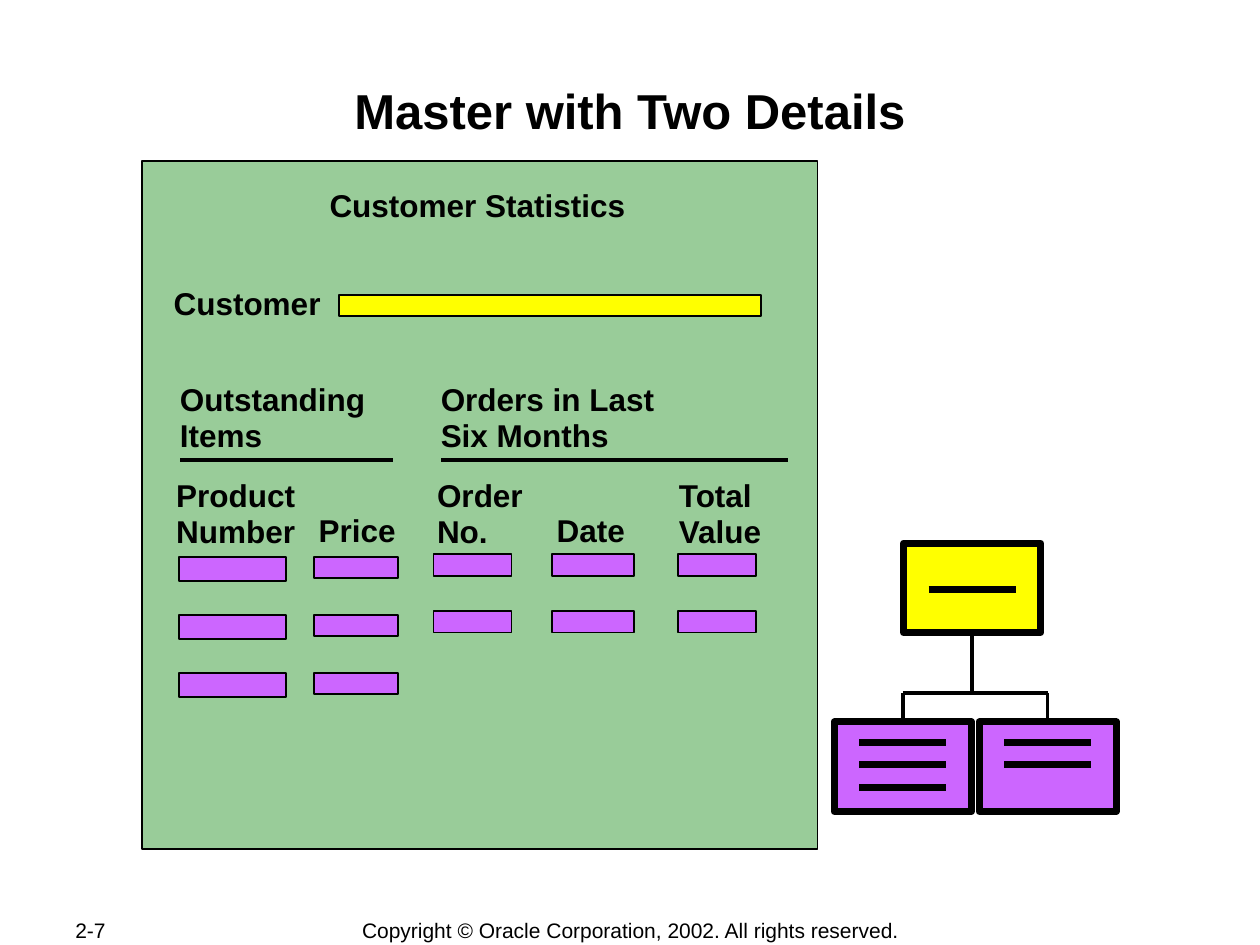
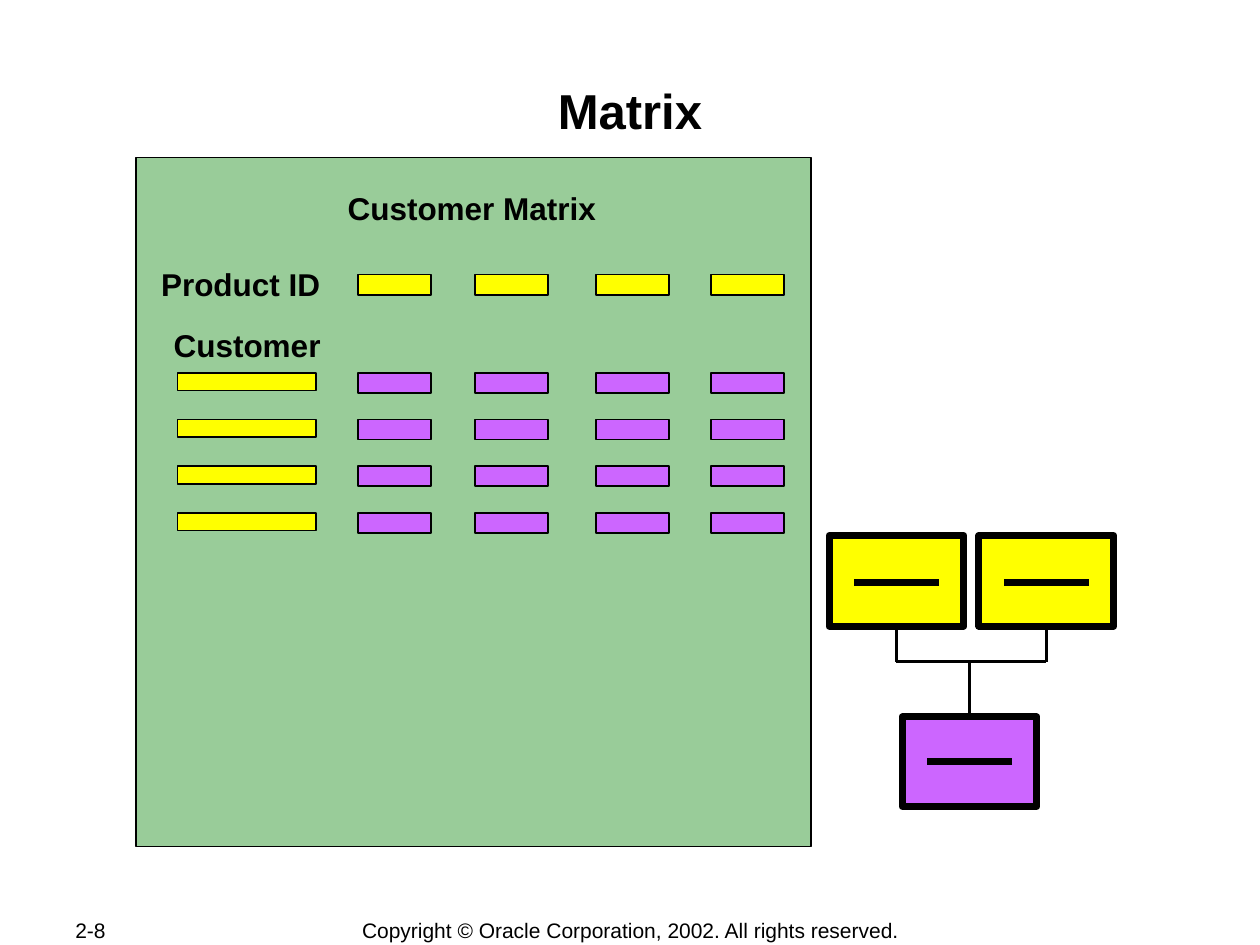
from dataclasses import dataclass

import pptx
import pptx.dml.color
import pptx.enum.shapes
import pptx.enum.text
import pptx.oxml
import pptx.oxml.ns
import pptx.util
from pptx.util import Inches

COLOURS = {
    "ink": "000000",
    "panel": "99CC99",
    "master": "FFFF00",
    "detail": "CC66FF",
}
FONT = "Arial"
TITLE_ONLY = 5
COPYRIGHT = "Copyright © Oracle Corporation, 2002. All rights reserved."
ALIGN = pptx.enum.text.PP_ALIGN
ANCHOR = pptx.enum.text.MSO_ANCHOR
BOTTOM_SITE, TOP_SITE = 2, 0


@dataclass(frozen=True)
class Label:
    text: str
    left: float
    top: float
    width: float
    height: float = 0.39
    align: ALIGN = ALIGN.LEFT
    size: int = 18
    bold: bool = True
    spacing: float = 0.95
    wrap: bool = False
    anchor: ANCHOR = ANCHOR.TOP


@dataclass(frozen=True)
class FieldColumn:
    """Equal fields stacked downwards, one pitch apart."""
    left: float
    top: float
    width: float
    height: float
    rows: int = 1
    pitch: float = 0.0
    colour: str = "detail"


@dataclass(frozen=True)
class Block:
    """A box of the block diagram, with a stroke for each record."""
    left: float
    top: float
    width: float
    height: float
    colour: str
    strokes: tuple[float, ...]

    @property
    def centre(self) -> float:
        return self.left + self.width / 2


def rgb(name: str) -> pptx.dml.color.RGBColor:
    return pptx.dml.color.RGBColor.from_string(COLOURS[name])


def style_font(paragraph, size: int, bold: bool) -> None:
    font = paragraph.font
    font.name, font.size, font.bold = FONT, pptx.util.Pt(size), bold
    font.color.rgb = rgb("ink")


def add_label(page, label: Label) -> None:
    box = page.shapes.add_textbox(Inches(label.left), Inches(label.top),
                                  Inches(label.width), Inches(label.height))
    frame = box.text_frame
    frame.word_wrap = label.wrap
    frame.vertical_anchor = label.anchor
    frame.text = label.text
    for paragraph in frame.paragraphs:
        paragraph.alignment = label.align
        paragraph.line_spacing = label.spacing
        style_font(paragraph, label.size, label.bold)


def add_rect(page, left: float, top: float, width: float, height: float,
             colour: str, weight: float = 1):
    rect = page.shapes.add_shape(
        pptx.enum.shapes.MSO_SHAPE.RECTANGLE,
        Inches(left), Inches(top), Inches(width), Inches(height))
    rect.shadow.inherit = False
    rect.fill.solid()
    rect.fill.fore_color.rgb = rgb(colour)
    rect.line.color.rgb = rgb("ink")
    rect.line.width = pptx.util.Pt(weight)
    return rect


def add_line(page, x1: float, y1: float, x2: float, y2: float, weight: float = 2):
    line = page.shapes.add_connector(
        pptx.enum.shapes.MSO_CONNECTOR.STRAIGHT,
        Inches(x1), Inches(y1), Inches(x2), Inches(y2))
    line.line.color.rgb = rgb("ink")
    line.line.width = pptx.util.Pt(weight)
    properties = line._element.find(pptx.oxml.ns.qn("p:spPr"))
    properties.append(pptx.oxml.parse_xml(
        f'<a:effectLst {pptx.oxml.ns.nsdecls("a")}/>'))
    return line


def add_fields(page, columns: list[FieldColumn]) -> None:
    for column in columns:
        for row in range(column.rows):
            add_rect(page, column.left, column.top + row * column.pitch,
                     column.width, column.height, column.colour)


def add_block(page, block: Block):
    rect = add_rect(page, block.left, block.top, block.width, block.height,
                    block.colour, weight=4)
    for y in block.strokes:
        add_line(page, block.left + 0.2, y, block.left + block.width - 0.2, y, weight=4)
    return rect


def add_block_diagram(page, masters: list[Block], details: list[Block],
                      bar_y: float) -> None:
    """Draw masters above details, joined through a horizontal bar."""
    for block in masters:
        rect = add_block(page, block)
        stem = add_line(page, block.centre, block.top + block.height,
                        block.centre, bar_y)
        stem.begin_connect(rect, BOTTOM_SITE)
    for block in details:
        rect = add_block(page, block)
        stem = add_line(page, block.centre, bar_y, block.centre, block.top)
        stem.end_connect(rect, TOP_SITE)
    centres = [block.centre for block in masters + details]
    add_line(page, min(centres), bar_y, max(centres), bar_y)


def add_page(deck, title: str, number: str):
    """Add a slide with its title, page number and copyright line."""
    page = deck.slides.add_slide(deck.slide_layouts[TITLE_ONLY])
    heading = page.shapes.title
    heading.left, heading.top = Inches(1), Inches(0.58)
    heading.width, heading.height = Inches(8), Inches(0.96)
    frame = heading.text_frame
    frame.text = title
    frame.word_wrap = True
    frame.auto_size = pptx.enum.text.MSO_AUTO_SIZE.NONE
    frame.vertical_anchor = ANCHOR.TOP
    frame.margin_left = frame.margin_right = frame.margin_bottom = Inches(0.01)
    frame.margin_top = Inches(0.06)
    frame.paragraphs[0].alignment = ALIGN.CENTER
    style_font(frame.paragraphs[0], 28, True)

    footer = dict(size=12, bold=False, spacing=1.0, anchor=ANCHOR.MIDDLE)
    add_label(page, Label(number, 0.5, 7.28, 1.06, 0.2, wrap=True, **footer))
    add_label(page, Label(COPYRIGHT, 2.76, 7.28, 4.49, 0.21, ALIGN.CENTER, **footer))
    return page


def build_two_details(deck) -> None:
    page = add_page(deck, "Master with Two Details", "2-7")
    add_rect(page, 1.13, 1.28, 5.36, 5.46, "panel")
    for label in (
        Label("Customer Statistics", 1.11, 1.45, 5.36, align=ALIGN.CENTER, wrap=True),
        Label("Customer", 1.28, 2.23, 1.37),
        Label("Outstanding\nItems", 1.33, 2.99, 1.74, 0.67),
        Label("Orders in Last\vSix Months", 3.4, 2.99, 1.97, 0.67),
        Label("Product\vNumber", 1.3, 3.75, 1.22, 0.67),
        Label("Price", 2.43, 4.03, 0.81),
        Label("Order\vNo.", 3.37, 3.75, 0.95, 0.67),
        Label("Date", 4.32, 4.03, 0.74),
        Label("Total\nValue", 5.29, 3.75, 0.87, 0.67),
    ):
        add_label(page, label)
    for left, right in ((1.43, 3.12), (3.5, 6.25)):
        add_line(page, left, 3.65, right, 3.65)
    add_fields(page, [
        FieldColumn(2.69, 2.34, 3.35, 0.17, colour="master"),
        FieldColumn(1.42, 4.42, 0.85, 0.19, rows=3, pitch=0.46),
        FieldColumn(2.49, 4.42, 0.67, 0.17, rows=3, pitch=0.46),
        FieldColumn(3.44, 4.4, 0.62, 0.17, rows=2, pitch=0.45),
        FieldColumn(4.38, 4.4, 0.65, 0.17, rows=2, pitch=0.45),
        FieldColumn(5.38, 4.4, 0.62, 0.17, rows=2, pitch=0.45),
    ])
    add_block_diagram(
        page,
        masters=[Block(7.17, 4.31, 1.09, 0.71, "master", (4.68,))],
        details=[Block(6.62, 5.73, 1.09, 0.71, "detail", (5.89, 6.07, 6.25)),
                 Block(7.77, 5.73, 1.09, 0.71, "detail", (5.89, 6.07))],
        bar_y=5.5)


def build_matrix(deck) -> None:
    page = add_page(deck, "Matrix", "2-8")
    add_rect(page, 1.08, 1.25, 5.36, 5.47, "panel")
    for label in (
        Label("Customer Matrix", 1.14, 1.47, 5.21, align=ALIGN.CENTER, wrap=True),
        Label("Product ID", 1.18, 2.08, 1.47),
        Label("Customer", 1.28, 2.56, 1.37),
    ):
        add_label(page, label)
    rows = dict(rows=4, pitch=0.37)
    add_fields(page, [FieldColumn(1.41, 2.96, 1.1, 0.14, colour="master", **rows)])
    for left in (2.84, 3.77, 4.73, 5.64):
        add_fields(page, [
            FieldColumn(left, 2.18, 0.58, 0.16, colour="master"),
            FieldColumn(left, 2.96, 0.58, 0.16, **rows),
        ])
    add_block_diagram(
        page,
        masters=[Block(left, 4.25, 1.07, 0.72, "master", (4.62,))
                 for left in (6.58, 7.77)],
        details=[Block(7.16, 5.69, 1.07, 0.71, "detail", (6.04,))],
        bar_y=5.25)


def main() -> None:
    deck = pptx.Presentation()
    deck.slide_width, deck.slide_height = Inches(10), Inches(7.5)
    build_two_details(deck)
    build_matrix(deck)
    deck.save("out.pptx")


if __name__ == "__main__":
    main()
